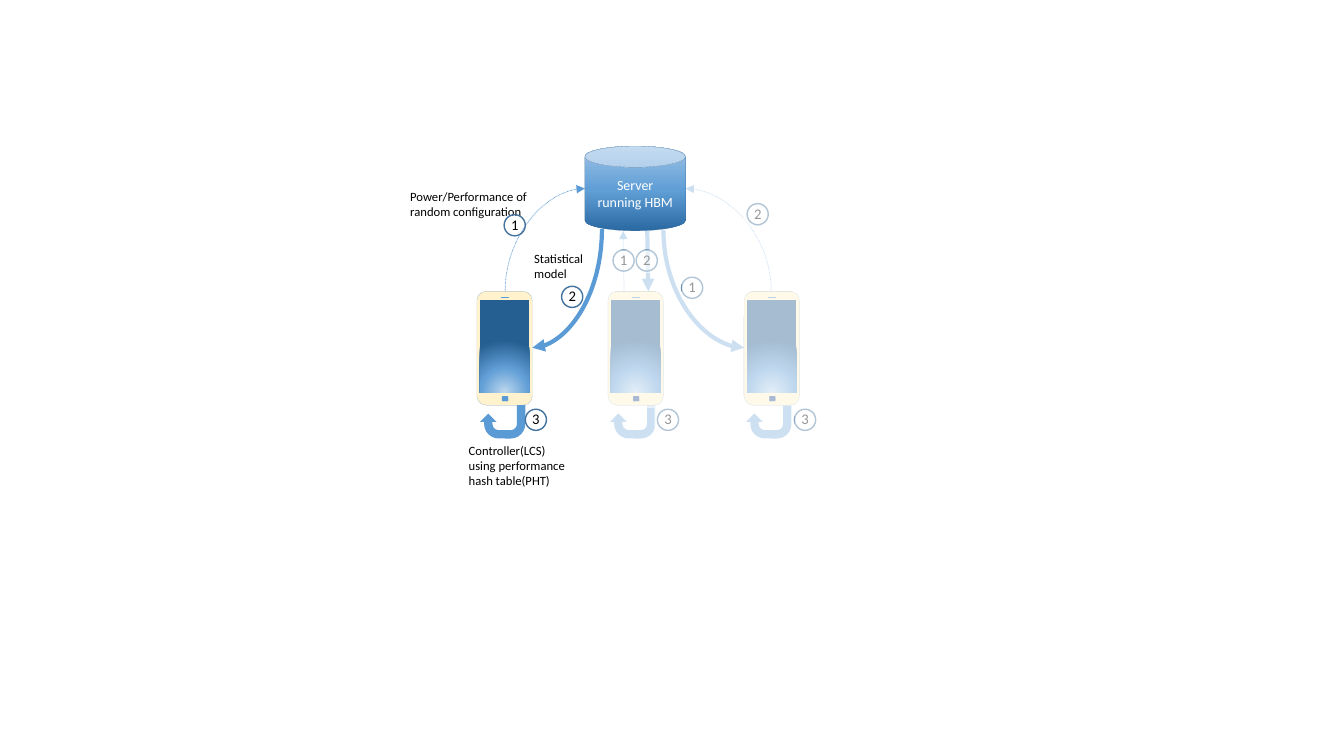
from pptx import Presentation
from pptx.dml.color import RGBColor
from pptx.enum.dml import MSO_LINE
from pptx.enum.shapes import MSO_CONNECTOR as LINK, MSO_SHAPE as SHAPE
from pptx.enum.text import MSO_ANCHOR, MSO_AUTO_SIZE, PP_ALIGN
from pptx.oxml import parse_xml
from pptx.oxml.ns import nsdecls, qn
from pptx.util import Inches, Pt

FONT = "Calibri"
BLUE = RGBColor(0x5B, 0x9B, 0xD5)
EDGE = RGBColor(0x43, 0x73, 0x9E)
NAVY = RGBColor(0x2F, 0x55, 0x97)
CREAM = RGBColor(0xFF, 0xF2, 0xCC)
WHITE = RGBColor(0xFF, 0xFF, 0xFF)
BLACK = RGBColor(0, 0, 0)

SCREEN_STOPS = [(0, "BDD7EE"), (46, "63A0D7"), (100, "255E91")]
SERVER_STOPS = [(0, "2A69A2"), (48, "609ED6"), (100, "9DC3E6")]
SCREEN_GLOW = ('<a:path path="circle"><a:fillToRect l="50000" t="130000" '
               'r="50000" b="-30000"/></a:path>')
UPWARD = '<a:lin ang="16200000" scaled="0"/>'

# Content: positions in inches
SERVER = ("Server running HBM", 5.8, 1.45, 1, 0.84)
PHONE_TOP = 2.89
PHONES = [(6.03, NAVY), (4.73, BLUE), (7.38, NAVY)]  # left, button colour
# start, end, width, dash, opacity
CURVES = [
    ((5.01, 2.89), (5.8, 1.87), 0.5, MSO_LINE.ROUND_DOT, 100),
    ((5.97, 2.27), (5.28, 3.45), 3, None, 100),
    ((7.65, 2.89), (6.8, 1.87), 0.5, MSO_LINE.ROUND_DOT, 30),
    ((6.58, 2.28), (7.38, 3.45), 3, None, 30),
]
STRAIGHTS = [
    ((6.19, 2.89), (6.18, 2.29), 0.5, MSO_LINE.ROUND_DOT, 30),
    ((6.42, 2.29), (6.43, 2.89), 3, None, 30),
]
LOOPS = [(4.76, 100), (6.05, 30), (7.4, 30)]  # left, opacity
BADGES = [("1", 5, 2.13), ("2", 5.57, 2.84), ("3", 5.21, 4.06),
          ("1", 6.08, 2.48), ("2", 6.31, 2.48), ("1", 6.76, 2.75),
          ("2", 7.41, 2.02), ("3", 6.52, 4.06), ("3", 7.88, 4.06)]
LABELS = [
    ("Controller(LCS) using performance hash table(PHT)", 4.55, 4.34, 1.22, 0.56),
    ("Power/Performance of random configuration", 3.97, 1.82, 1.42, 0.4),
    ("Statistical model", 5.2, 2.44, 0.99, 0.4),
]
VEILS = [(5.98, 2.89, 0.64, 1.16), (7.38, 2.89, 0.65, 1.14),
         (7.88, 4.05, 0.25, 0.31), (7.37, 1.93, 0.3, 0.31),
         (6.49, 4.05, 0.25, 0.31), (6.76, 2.66, 0.25, 0.31),
         (6.04, 2.48, 0.53, 0.23)]

prs = Presentation()
prs.slide_width, prs.slide_height = Inches(13.33), Inches(7.5)
slide = prs.slides.add_slide(prs.slide_layouts[6])
shapes = slide.shapes.add_group_shape().shapes


def fade(element, opacity):
    if opacity < 100:
        for clr in element.iter(qn("a:srgbClr")):
            clr.append(parse_xml(f'<a:alpha {nsdecls("a")} val="{opacity * 1000}"/>'))


def shape(kind, x, y, w, h, fill=None, line=None, width=0.1):
    s = shapes.add_shape(kind, Inches(x), Inches(y), Inches(w), Inches(h))
    s.shadow.inherit = False
    if fill is None:
        s.fill.background()
    else:
        s.fill.solid()
        s.fill.fore_color.rgb = fill
    if line is None:
        s.line.fill.background()
    else:
        s.line.color.rgb = line
        s.line.width = Pt(width)
    return s


def gradient(s, stops, direction):
    gs = "".join(f'<a:gs pos="{pos * 1000}"><a:srgbClr val="{c}"/></a:gs>'
                 for pos, c in stops)
    grad = parse_xml(f'<a:gradFill {nsdecls("a")} rotWithShape="1">'
                     f'<a:gsLst>{gs}</a:gsLst>{direction}</a:gradFill>')
    spPr = s.element.spPr
    spPr.replace(spPr.find(qn("a:solidFill")), grad)


def write(s, text, size, color, wrap=True):
    tf = s.text_frame
    tf.word_wrap = wrap
    tf.text = text
    p = tf.paragraphs[0]
    p.font.name, p.font.size, p.font.color.rgb = FONT, Pt(size), color
    return tf


def textbox(text, x, y, w, h, size, wrap=True):
    s = shapes.add_textbox(Inches(x), Inches(y), Inches(w), Inches(h))
    tf = write(s, text, size, BLACK, wrap)
    tf.auto_size = MSO_AUTO_SIZE.SHAPE_TO_FIT_TEXT


def connector(kind, start, end, width, dash=None, opacity=100, arrow=True):
    c = shapes.add_connector(kind, *(Inches(v) for v in (*start, *end)))
    c.line.color.rgb = BLUE
    c.line.width = Pt(width)
    if dash:
        c.line.dash_style = dash
    spPr = c.element.spPr
    if arrow:
        spPr.find(qn("a:ln")).append(
            parse_xml(f'<a:tailEnd {nsdecls("a")} type="triangle"/>'))
    spPr.append(parse_xml(f'<a:effectLst {nsdecls("a")}/>'))
    fade(spPr, opacity)
    return c


def curve(start, end, *style):
    """Quarter curve that leaves vertically and arrives horizontally."""
    (x1, y1), (x2, y2) = start, end
    cx, cy = (x1 + x2) / 2, (y1 + y2) / 2
    w, h = abs(y2 - y1), abs(x2 - x1)  # box before the quarter turn
    c = connector(LINK.CURVE, (cx - w / 2, cy - h / 2),
                  (cx + w / 2, cy + h / 2), *style)
    up = y2 < y1
    clockwise = (x2 > x1) == up
    xfrm = c.element.spPr.find(qn("a:xfrm"))
    xfrm.set("rot", str((90 if clockwise else 270) * 60000))
    xfrm.set("flipH", str(int(clockwise == up)))
    xfrm.set("flipV", str(int(up)))
    c.element.spPr.find(qn("a:prstGeom")).set("prst", "curvedConnector2")


# Phones
for x, button in PHONES:
    body = shape(SHAPE.ROUNDED_RECTANGLE, x, PHONE_TOP, 0.55, 1.13, CREAM, EDGE)
    fade(body.element.spPr.find(qn("a:ln")), 62)
    screen = shape(SHAPE.RECTANGLE, x + 0.03, PHONE_TOP + 0.09, 0.49, 0.91, BLUE)
    gradient(screen, SCREEN_STOPS, SCREEN_GLOW)
    shape(SHAPE.ROUNDED_RECTANGLE, x + 0.25, PHONE_TOP + 1.04, 0.06, 0.05,
          button, BLUE if button == BLUE else EDGE)
    connector(LINK.STRAIGHT, (x + 0.24, PHONE_TOP + 0.06),
              (x + 0.32, PHONE_TOP + 0.06), 0.5, arrow=False)

# Server
text, *box = SERVER
server = shape(SHAPE.CAN, *box, BLUE, EDGE)
gradient(server, SERVER_STOPS, UPWARD)
tf = write(server, text, 10, WHITE)
tf.vertical_anchor = MSO_ANCHOR.MIDDLE
tf.paragraphs[0].alignment = PP_ALIGN.CENTER

# Arrows between server and phones, and the loop under each phone
for args in CURVES:
    curve(*args)
for args in STRAIGHTS:
    connector(LINK.STRAIGHT, *args)
for x, opacity in LOOPS:
    loop = shape(SHAPE.U_TURN_ARROW, x, 4.02, 0.45, 0.33, BLUE)
    loop.rotation = 180
    fade(loop.element.spPr, opacity)

# Labels and numbered badges
for label in LABELS:
    textbox(*label, 9)
for number, x, y in BADGES:
    textbox(number, x - 0.03, y - 0.04, 0.28, 0.29, 10.5, wrap=False)
    shape(SHAPE.OVAL, x, y, 0.21, 0.21, line=EDGE, width=1)

# Pale veils over the inactive parts
for box in VEILS:
    fade(shape(SHAPE.RECTANGLE, *box, WHITE).element.spPr, 59)

prs.save("out.pptx")
